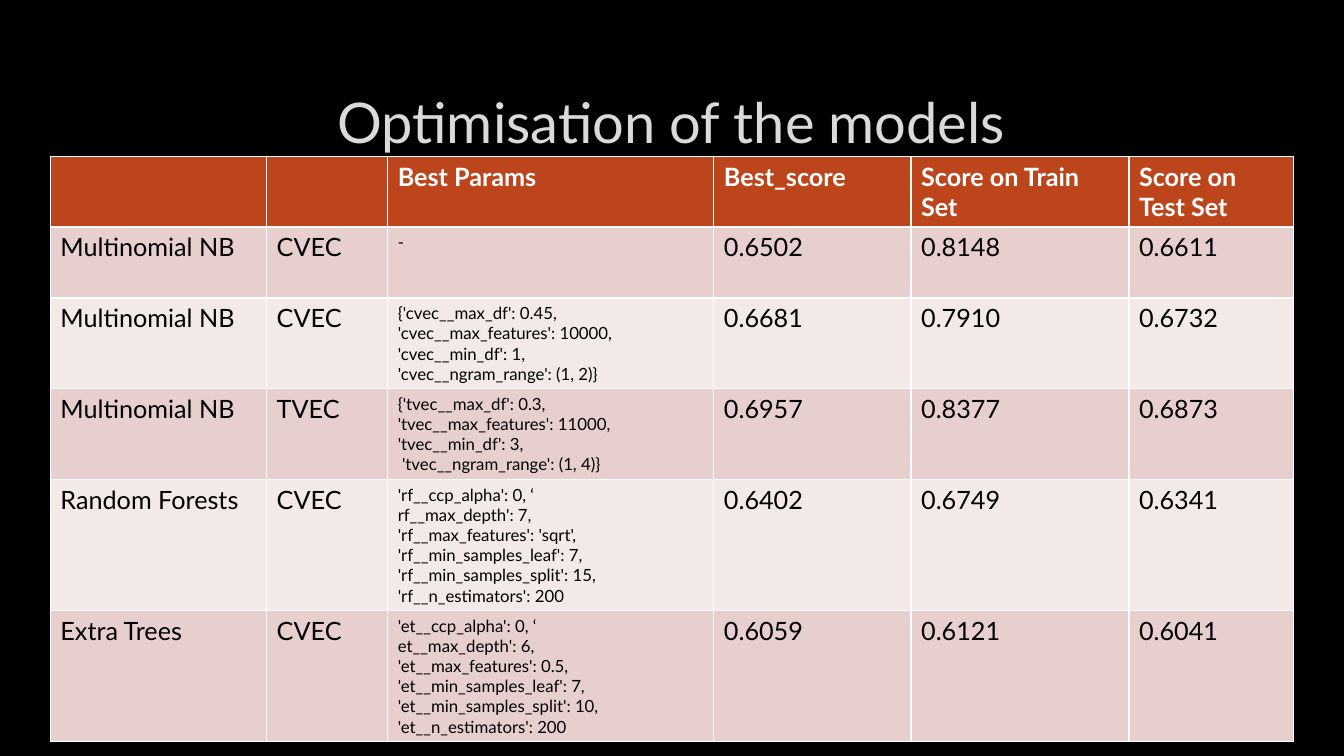
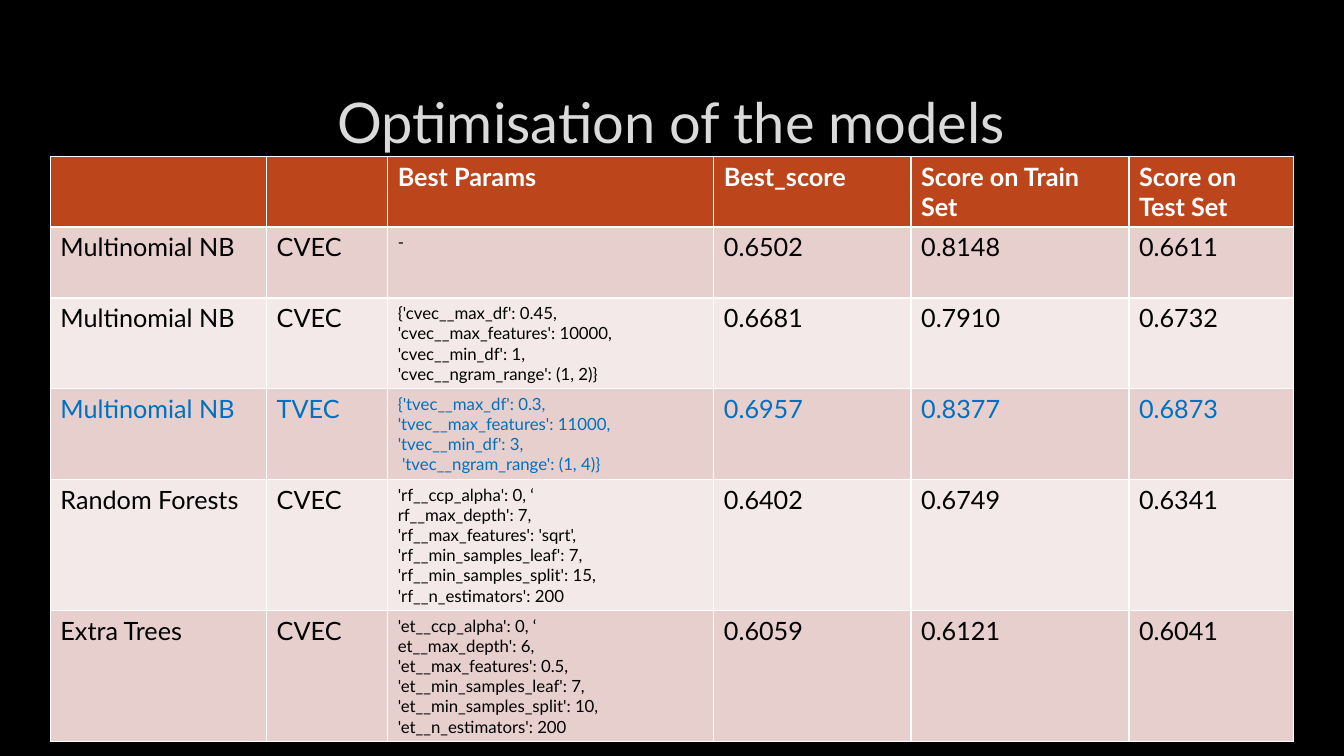
from pptx import Presentation
from pptx.dml.color import RGBColor
from pptx.enum.text import MSO_ANCHOR, PP_ALIGN
from pptx.util import Cm, Pt

MIDDLE = MSO_ANCHOR.MIDDLE
CENTER = PP_ALIGN.CENTER

FONT = "Lato"
BLACK = "000000"
WHITE = "FFFFFF"
GREY = "DADADA"
RUST = "BC451B"
BLUE = "0070C0"
BANDS = ["E7CFCD", "F3E9E8"]

WIDTHS = [5.45, 3.05, 8.22, 4.97, 5.49, 4.14]
HEIGHTS = [1.78, 1.79, 2.28, 2.28, 3.3, 3.3]
PARAMS = 2
BEST = 3

ROWS = [
    ["", "", "Best Params", "Best_score", "Score on Train Set", "Score on Test Set"],
    ["Multinomial NB", "CVEC", "-", "0.6502", "0.8148", "0.6611"],
    ["Multinomial NB", "CVEC",
     "{'cvec__max_df': 0.45, 'cvec__max_features': 10000, 'cvec__min_df': 1,\n"
     "'cvec__ngram_range': (1, 2)}",
     "0.6681", "0.7910", "0.6732"],
    ["Multinomial NB", "TVEC",
     "{'tvec__max_df': 0.3,\n"
     "'tvec__max_features': 11000, 'tvec__min_df': 3,\n"
     " 'tvec__ngram_range': (1, 4)}",
     "0.6957", "0.8377", "0.6873"],
    ["Random Forests", "CVEC",
     "'rf__ccp_alpha': 0, ‘\n"
     "rf__max_depth': 7,\n"
     "'rf__max_features': 'sqrt', 'rf__min_samples_leaf': 7, "
     "'rf__min_samples_split': 15, 'rf__n_estimators': 200",
     "0.6402", "0.6749", "0.6341"],
    ["Extra Trees", "CVEC",
     "'et__ccp_alpha': 0, ‘\n"
     "et__max_depth': 6,\n"
     "'et__max_features': 0.5, 'et__min_samples_leaf': 7, "
     "'et__min_samples_split': 10, 'et__n_estimators': 200",
     "0.6059", "0.6121", "0.6041"],
]


def paint(fill, color):
    fill.solid()
    fill.fore_color.rgb = RGBColor.from_string(color)


def style(frame, size, color, bold=False):
    for para in frame.paragraphs:
        for run in para.runs:
            run.font.name = FONT
            run.font.size = Pt(size)
            run.font.bold = bold
            run.font.color.rgb = RGBColor.from_string(color)


prs = Presentation()
prs.slide_width = Cm(33.87)
prs.slide_height = Cm(19.05)
paint(prs.slide_master.background.fill, BLACK)

layout = prs.slide_layouts.get_by_name("Title Only")
head = layout.placeholders[0]
head.left, head.top, head.width, head.height = Cm(2.54), Cm(1.7), Cm(28.75), Cm(2.7)
head.text_frame.vertical_anchor = MIDDLE

for accent in [BLACK, BLUE]:
    slide = prs.slides.add_slide(layout)
    title = slide.shapes.title.text_frame
    title.text = "Optimisation of the models"
    title.paragraphs[0].alignment = CENTER
    style(title, 40, GREY)

    table = slide.shapes.add_table(
        len(ROWS), len(WIDTHS), Cm(1.27), Cm(3.94),
        Cm(sum(WIDTHS)), Cm(sum(HEIGHTS))).table
    for column, width in zip(table.columns, WIDTHS):
        column.width = Cm(width)
    for r, (values, height) in enumerate(zip(ROWS, HEIGHTS)):
        table.rows[r].height = Cm(height)
        top = r == 0
        ink = WHITE if top else accent if r == BEST else BLACK
        for c, value in enumerate(values):
            cell = table.cell(r, c)
            cell.text_frame.text = value
            paint(cell.fill, RUST if top else BANDS[(r - 1) % 2])
            size = 12 if c == PARAMS and not top else 18
            style(cell.text_frame, size, ink, top)

prs.save("out.pptx")
